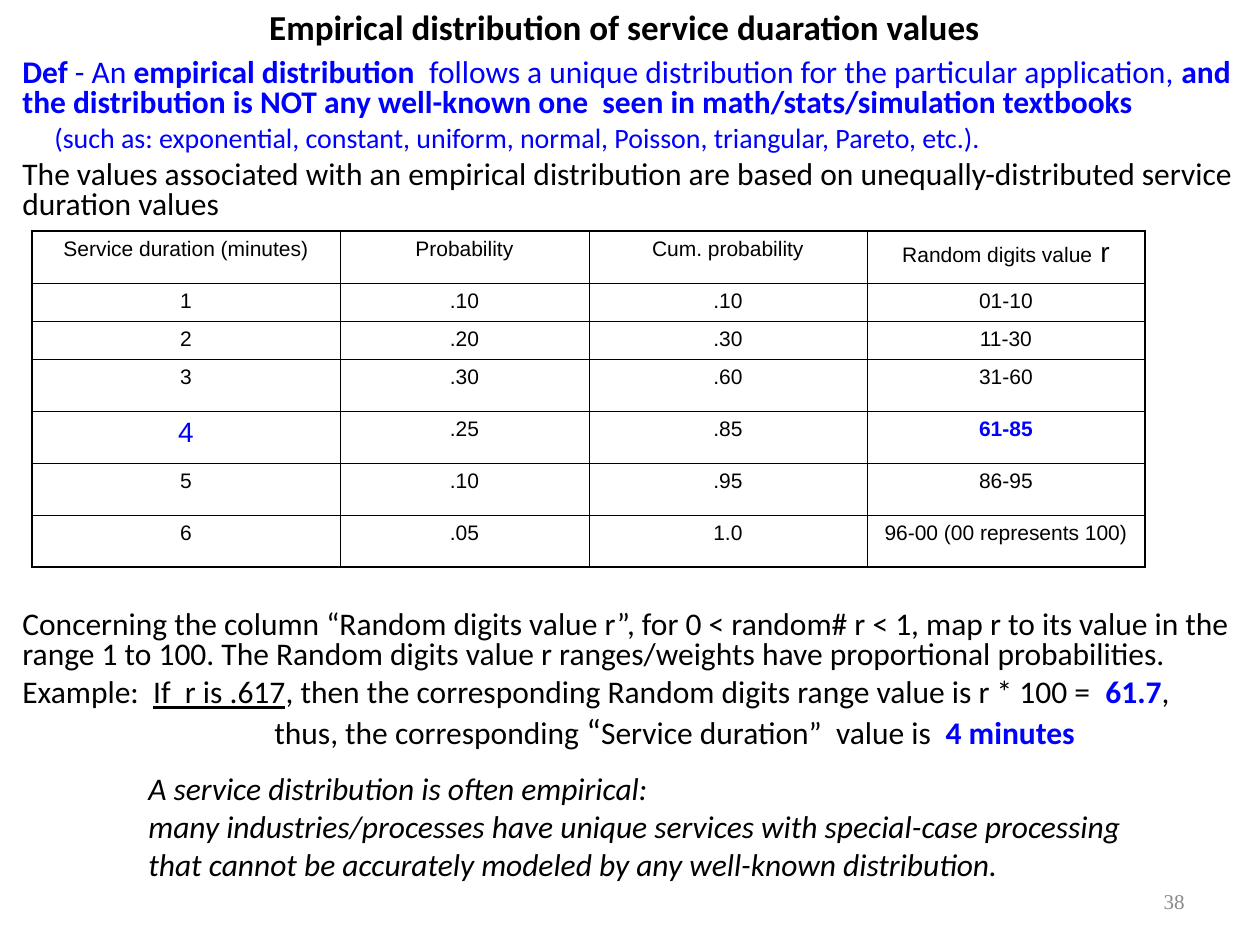
from lxml import etree
from pptx import Presentation, util as u
from pptx.dml.color import RGBColor
from pptx.enum import text
from pptx.oxml import ns

THEME = {
    "black": RGBColor(0, 0, 0), "blue": RGBColor(0, 0, 255), "grey": RGBColor(0x89, 0x89, 0x89),
    "body_font": "Calibri", "table_font": "Arial", "number_font": "Times New Roman",
    "title": 20, "body": 18, "note": 16, "cell": 12,
    "outer_line": 1.08, "inner_line": 0.45,
}
EMU_PER_PX = 914400 / 126


def px(length):
    return u.Emu(round(length * EMU_PER_PX))


def add_span(para, words, size, color="black", font="body_font", **style):
    """Add a formatted run; style holds bold, italic or underline."""
    span = para.add_run()
    span.text = words
    span.font.size = u.Pt(size)
    span.font.name = THEME[font]
    span.font.color.rgb = THEME[color]
    for name, value in style.items():
        setattr(span.font, name, value)


deck = Presentation()
deck.slide_width, deck.slide_height = px(1260), px(945)
page = deck.slides.add_slide(deck.slide_layouts[6])

# Title and page number
captions = [
    ((21, 0, 1207, 53), "Empirical distribution of service duaration values",
     text.PP_ALIGN.CENTER, (THEME["title"], "black", "body_font"), True),
    ((903, 876, 294, 50), "38",
     text.PP_ALIGN.RIGHT, (THEME["cell"], "grey", "number_font"), False),
]
for place, words, align, look, bold in captions:
    frame = page.shapes.add_textbox(*map(px, place)).text_frame
    frame.word_wrap = True
    frame.vertical_anchor = text.MSO_ANCHOR.MIDDLE
    frame.paragraphs[0].alignment = align
    add_span(frame.paragraphs[0], words, *look, bold=bold)

# Body: (space before in points, indent in px, spans); the large space clears the table
BODY, NOTE = THEME["body"], THEME["note"]
BOLD, ITALIC = {"bold": True}, {"italic": True}
body = [
    (4.5, 0, [
        ("Def", BODY, "blue", BOLD),
        (" - An", BODY, "blue", {}),
        (" empirical distribution ", BODY, "blue", BOLD),
        (" follows a unique distribution for the particular application, ", BODY, "blue", {}),
        ("and the distribution is NOT any well-known one  seen in "
         "math/stats/simulation textbooks", BODY, "blue", BOLD)]),
    (4, 32, [("(such as: exponential, constant, uniform, normal, Poisson, triangular, "
              "Pareto, etc.).", NOTE, "blue", {})]),
    (4.5, 0, [("The values associated with an empirical distribution are based on "
               "unequally-distributed service duration values", BODY, "black", {})]),
    (222.5, 0, [("Concerning the column “Random digits value r”, for 0 < random# r < 1, "
                 "map r to its value in the range 1 to 100. The Random digits value r "
                 "ranges/weights have proportional probabilities.", BODY, "black", {})]),
    (4.5, 0, [
        ("Example:  ", BODY, "black", {}),
        ("If  r is .617", BODY, "black", {"underline": True}),
        (", then the corresponding Random digits range value is r * 100 =  ", BODY, "black", {}),
        ("61.7", BODY, "blue", BOLD),
        (",", BODY, "black", {})]),
    (4.5, 252, [
        ("thus, the corresponding ", BODY, "black", {}),
        ("“", THEME["title"], "black", {}),
        ("Service duration”  value is  ", BODY, "black", {}),
        ("4 minutes", BODY, "blue", BOLD)]),
    (14, 126, [("A service distribution is often empirical:", BODY, "black", ITALIC)]),
    (4.5, 126, [("many industries/processes have unique services with special-case processing",
                 BODY, "black", ITALIC)]),
    (4.5, 126, [("that cannot be accurately modeled by any well-known distribution.",
                 BODY, "black", ITALIC)]),
]
frame = page.shapes.add_textbox(*map(px, (10, 53, 1250, 892))).text_frame
frame.word_wrap = True
for index, (space, indent, spans) in enumerate(body):
    para = frame.add_paragraph() if index else frame.paragraphs[0]
    para.line_spacing = 0.8
    para.space_before = u.Pt(space)
    if indent:
        para._p.get_or_add_pPr().set("marL", str(px(indent)))
    for words, size, color, style in spans:
        add_span(para, words, size, color, **style)

# Distribution table
rows = [
    ["Service duration (minutes)", "Probability", "Cum. probability", "Random digits value"],
    ["1", ".10", ".10", "01-10"],
    ["2", ".20", ".30", "11-30"],
    ["3", ".30", ".60", "31-60"],
    ["4", ".25", ".85", "61-85"],
    ["5", ".10", ".95", "86-95"],
    ["6", ".05", "1.0", "96-00 (00 represents 100)"],
]
widths = [308, 249, 278, 278]
heights = [52, 38, 38, 52, 52, 52, 52]
special = {(4, 0): (NOTE, False), (4, 3): (THEME["cell"], True)}
table = page.shapes.add_table(len(rows), len(widths),
                              *map(px, (32, 231, sum(widths), sum(heights)))).table
table.first_row = table.horz_banding = False
for column, width in zip(table.columns, widths):
    column.width = px(width)
for row, height in zip(table.rows, heights):
    row.height = px(height)

last_row, last_col = len(rows) - 1, len(widths) - 1
for r, values in enumerate(rows):
    for c, words in enumerate(values):
        cell = table.cell(r, c)
        cell.fill.background()
        para = cell.text_frame.paragraphs[0]
        para.alignment = text.PP_ALIGN.CENTER
        size, bold = special.get((r, c), (THEME["cell"], False))
        color = "blue" if (r, c) in special else "black"
        add_span(para, words, size, color, "table_font", bold=bold)
        if (r, c) == (0, last_col):
            add_span(para, " r", NOTE, font="table_font")
        para.space_before = u.Pt(4 if NOTE in [s.font.size.pt for s in para.runs] else 3)

        outer_edges = {"lnL": c == 0, "lnR": c == last_col, "lnT": r == 0, "lnB": r == last_row}
        for position, (edge, is_outer) in enumerate(outer_edges.items()):
            line = etree.Element(ns.qn(f"a:{edge}"))
            line.set("w", str(u.Pt(THEME["outer_line" if is_outer else "inner_line"])))
            fill = etree.SubElement(line, ns.qn("a:solidFill"))
            etree.SubElement(fill, ns.qn("a:srgbClr")).set("val", str(THEME["black"]))
            cell._tc.get_or_add_tcPr().insert(position, line)

deck.save("out.pptx")
